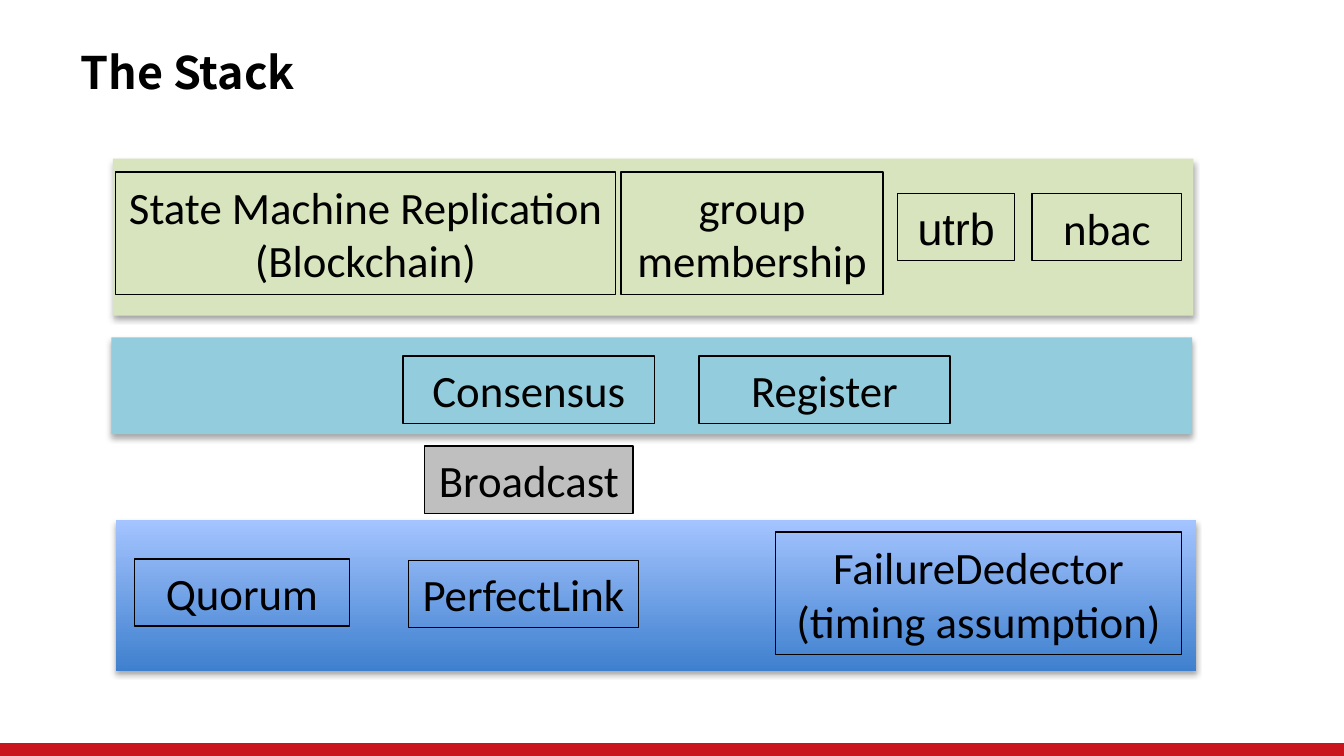
from lxml import etree
from pptx import Presentation
from pptx.dml.color import RGBColor
from pptx.enum.shapes import MSO_SHAPE as SHAPE
from pptx.enum.text import MSO_ANCHOR as ANCHOR, PP_ALIGN as ALIGN
from pptx.oxml.ns import qn
from pptx.util import Inches, Pt

BLACK = RGBColor(0x00, 0x00, 0x00)
RED = RGBColor(0xC9, 0x15, 0x1E)
GREEN = RGBColor(0xD7, 0xE4, 0xBD)
TEAL = RGBColor(0x93, 0xCD, 0xDD)
GRAY = RGBColor(0xBF, 0xBF, 0xBF)
DEEP_BLUE = RGBColor(0x3F, 0x80, 0xCE)
PALE_BLUE = RGBColor(0xA4, 0xC4, 0xFF)

TITLE = "The Stack"
LAYER_W = 8.04
LINE_H = {1: 0.5, 2: 0.91}  # box height by number of text lines

# Layers: left, top, height, fill (a pair is a gradient, bottom to top)
LAYERS = [
    (0.84, 1.18, 1.17, GREEN),
    (0.83, 2.51, 0.72, TEAL),
    (0.86, 3.87, 1.12, (DEEP_BLUE, PALE_BLUE)),
]

# Components: paragraphs, left, top, width, lines, fill, font
COMPONENTS = [
    (["State Machine Replication", "(Blockchain)"], 0.86, 1.28, 3.72, 2, None, "Calibri"),
    (["group membership"], 4.62, 1.28, 1.95, 2, None, "Calibri"),
    (["utrb"], 6.68, 1.44, 0.87, 1, None, "Arial"),
    (["nbac"], 7.68, 1.44, 1.11, 1, None, "Calibri"),
    (["Consensus"], 3.0, 2.65, 1.87, 1, None, "Calibri"),
    (["Register"], 5.2, 2.65, 1.87, 1, None, "Calibri"),
    (["Broadcast"], 3.16, 3.32, 1.55, 1, GRAY, "Calibri"),
    (["Quorum"], 1.0, 4.16, 1.6, 1, None, "Calibri"),
    (["PerfectLink"], 3.04, 4.17, 1.71, 1, None, "Calibri"),
    (["FailureDedector", "(timing assumption)"], 5.77, 3.96, 3.02, 2, None, "Calibri"),
]


def add_rect(slide, left, top, width, height, fill=None):
    sp = slide.shapes.add_shape(SHAPE.RECTANGLE, Inches(left), Inches(top),
                                Inches(width), Inches(height))
    sp.shadow.inherit = False
    sp.line.fill.background()
    if fill is None:
        sp.fill.background()
    elif isinstance(fill, RGBColor):
        sp.fill.solid()
        sp.fill.fore_color.rgb = fill
    else:
        sp.fill.gradient()
        sp.fill.gradient_angle = 90
        for stop, color, position in zip(sp.fill.gradient_stops, fill, (0, 1)):
            stop.color.rgb = color
            stop.position = position
    return sp


def add_shadow(sp):
    effects = sp.element.spPr.find(qn("a:effectLst"))
    shadow = etree.SubElement(effects, qn("a:outerShdw"), blurRad=str(Pt(3.1)),
                              dist=str(Pt(1.8)), dir="5400000", rotWithShape="0")
    color = etree.SubElement(shadow, qn("a:srgbClr"), val=str(BLACK))
    etree.SubElement(color, qn("a:alpha"), val="35000")


def write(sp, lines, font, align, bold=False):
    tf = sp.text_frame
    tf.word_wrap = True
    tf.vertical_anchor = ANCHOR.MIDDLE
    for i, text in enumerate(lines):
        p = tf.paragraphs[0] if i == 0 else tf.add_paragraph()
        p.alignment = align
        r = p.add_run()
        r.text = text
        r.font.name = font
        r.font.size = Pt(24)
        r.font.bold = bold
        r.font.color.rgb = BLACK


# Widescreen 16:9 slide
prs = Presentation()
prs.slide_width = Inches(10)
prs.slide_height = Inches(10 * 9 / 16)
s = prs.slides.add_slide(prs.slide_layouts[6])

# Footer bar and title
add_rect(s, 0, 5.53, 10, 0.1, RED)
title = s.shapes.add_textbox(Inches(0.5), Inches(0.29), Inches(6.96), Inches(0.49))
write(title, [TITLE], "Noto Sans CJK SC", ALIGN.LEFT, bold=True)

# Layers of the stack
for left, top, height, fill in LAYERS:
    add_shadow(add_rect(s, left, top, LAYER_W, height, fill))

# Components on the layers
for lines, left, top, width, count, fill, font in COMPONENTS:
    box = add_rect(s, left, top, width, LINE_H[count], fill)
    box.line.color.rgb = BLACK
    box.line.width = Pt(0.75)
    box.text_frame.margin_left = box.text_frame.margin_right = Inches(0.05)
    write(box, lines, font, ALIGN.CENTER)

prs.save("out.pptx")
